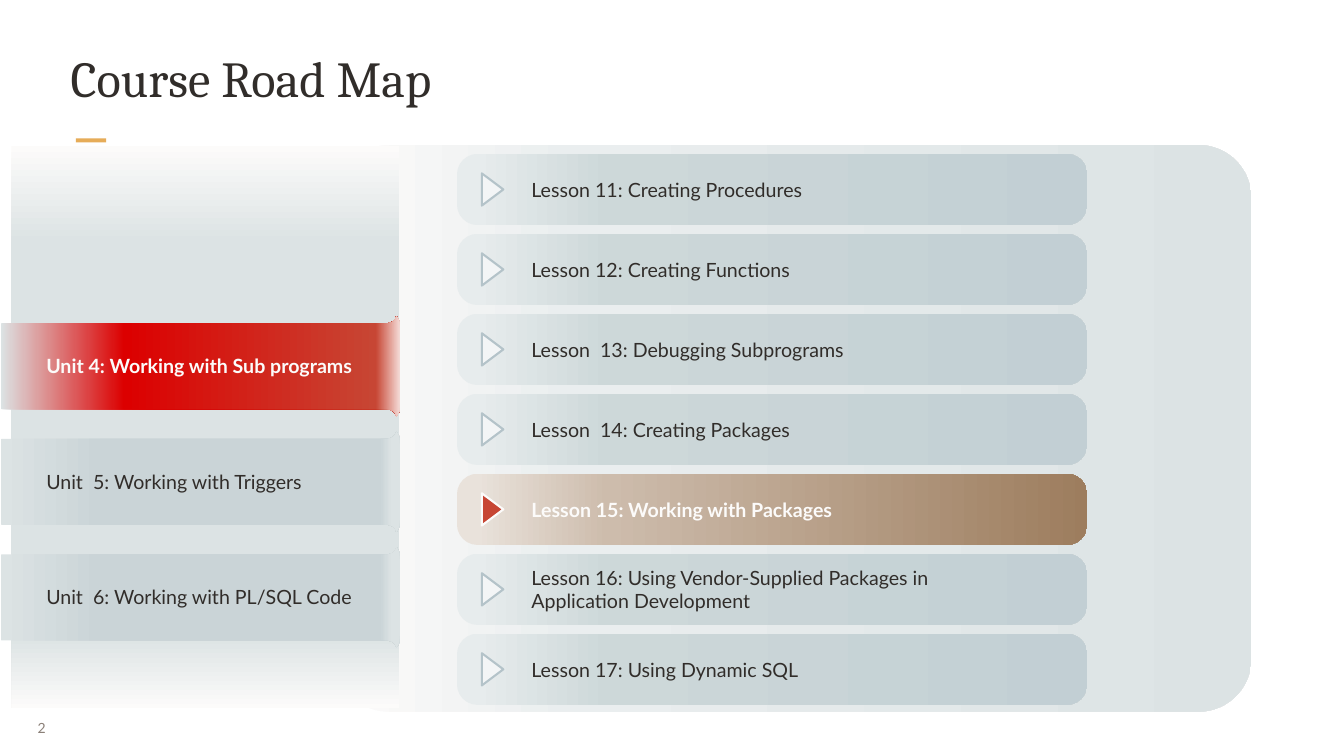
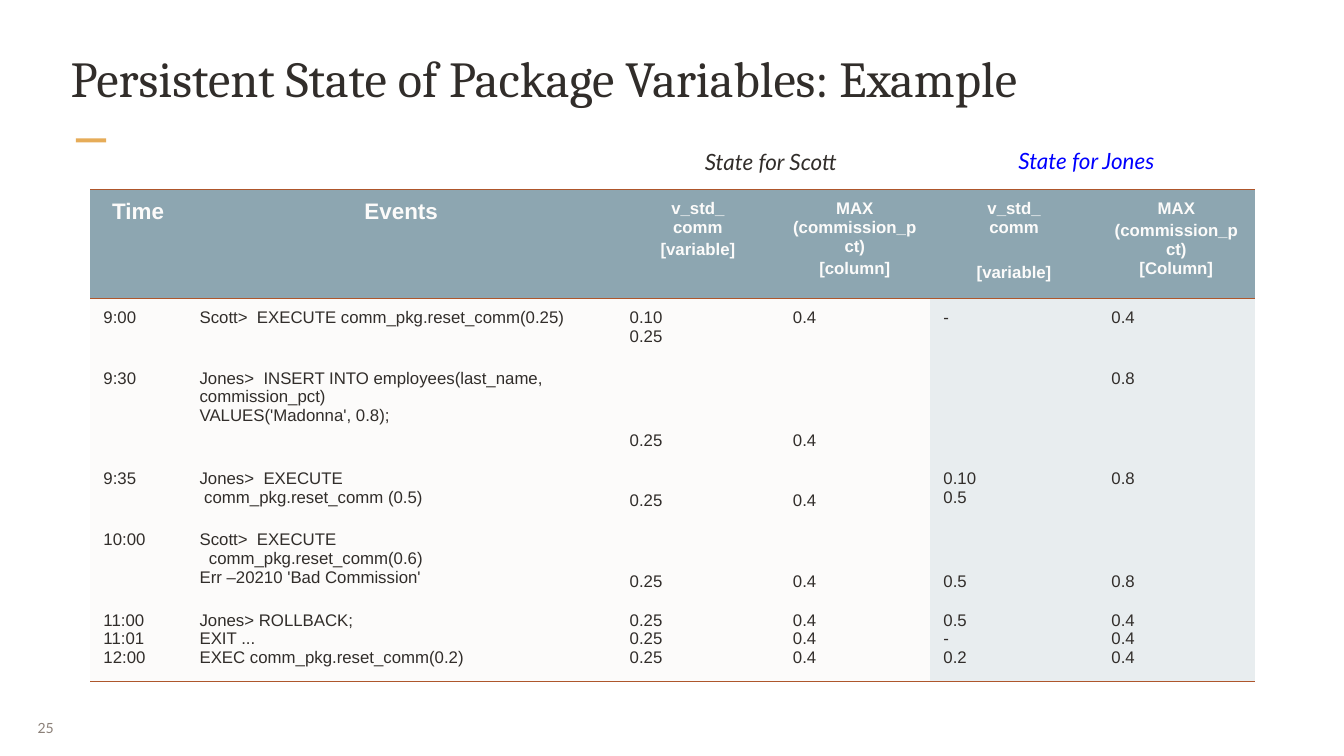
import dataclasses

import lxml.etree
import pptx
import pptx.dml.color
import pptx.enum.shapes
import pptx.enum.text
import pptx.oxml.ns
import pptx.util

RGB = pptx.dml.color.RGBColor
SHAPE = pptx.enum.shapes.MSO_SHAPE
ALIGN = pptx.enum.text.PP_ALIGN
ANCHOR = pptx.enum.text.MSO_ANCHOR
qn = pptx.oxml.ns.qn

SLIDE_WIDTH = pptx.util.Inches(20)
SLIDE_HEIGHT = pptx.util.Inches(11.25)
GRID_COLUMNS = 20
GRID_UNIT = SLIDE_WIDTH / GRID_COLUMNS

INK = RGB(0x31, 0x2D, 0x2A)
PAPER = RGB(0xFC, 0xFB, 0xFA)
TAUPE = RGB(0x8B, 0x80, 0x78)
AMBER = RGB(0xE6, 0xAC, 0x58)
BLUE = RGB(0x00, 0x00, 0xFF)
RED = RGB(0xC7, 0x46, 0x34)
BRIGHT_RED = RGB(0xDC, 0x00, 0x00)
DARK_RED = RGB(0x95, 0x34, 0x27)
PALE_RED = RGB(0xF4, 0xDA, 0xD6)
MIST = RGB(0xDC, 0xE3, 0xE4)
SLATE = RGB(0x8D, 0xA6, 0xB1)
STEEL = RGB(0xB4, 0xC3, 0xC9)
FROST = RGB(0xF3, 0xF5, 0xF6)
PALE_SLATE = RGB(0xE8, 0xED, 0xEF)
RUST = RGB(0xAE, 0x56, 0x2C)
GREY = RGB(0xCA, 0xD4, 0xD7)

PANEL_STOPS = [(0, PAPER), (26, RGB(0xEA, 0xEE, 0xEF)), (100, MIST)]
SIDEBAR_STOPS = [(0, PAPER), (17, MIST), (87, MIST), (100, PAPER)]
TAB_STOPS = [(77, RGB(0xDE, 0xE4, 0xE5)), (99, RGB(0x96, 0xA2, 0xA7))]
ACTIVE_TAB_STOPS = [(73, RED), (92, DARK_RED)]
RIBBON_STOPS = [(0, MIST), (25, GREY), (95, GREY), (98, MIST)]
ACTIVE_RIBBON_STOPS = [(0, MIST), (31, BRIGHT_RED), (94, RED), (100, PALE_RED)]
LESSON_STOPS = [(3, RGB(0xE7, 0xEC, 0xED)), (24, RGB(0xCD, 0xD8, 0xD9)),
                (100, RGB(0xC2, 0xCF, 0xD4))]
ACTIVE_LESSON_STOPS = [(3, RGB(0xE9, 0xE2, 0xDB)), (24, RGB(0xCD, 0xBC, 0xAC)),
                       (100, RGB(0x9D, 0x7D, 0x5E))]


@dataclasses.dataclass(frozen=True)
class TextStyle:
    size: float
    font: str = "Lato"
    color: RGB = INK
    bold: bool = False
    italic: bool = False
    alignment: ALIGN = ALIGN.LEFT
    space_before: float = 0


TITLE = TextStyle(54, "Cambria")
PAGE_NUMBER = TextStyle(15, color=TAUPE, alignment=ALIGN.JUSTIFY)
ITEM = TextStyle(21)
ACTIVE_ITEM = TextStyle(21, color=PAPER, bold=True)
STATE = TextStyle(24, italic=True, alignment=ALIGN.CENTER)
JONES_STATE = dataclasses.replace(STATE, color=BLUE)
HEADER = TextStyle(18, "Arial", PAPER, True, alignment=ALIGN.CENTER, space_before=3.6)
WIDE_HEADER = dataclasses.replace(HEADER, size=24)
BODY = TextStyle(18, "Arial")

UNITS = ["Unit 4: Working with Sub programs", "Unit  5: Working with Triggers",
         "Unit  6: Working with PL/SQL Code"]
ACTIVE_UNIT = 0
UNIT_MIDDLE, UNIT_PITCH = 5.45, 1.72
RIBBON_EDGE = [(0.01, 0.56), (0.02, 0.64), (5.77, 0.64), (5.84, 0.66),
               (5.88, 0.7), (5.9, 0.75), (5.94, 0.68), (5.95, 0.56)]

LESSONS = ["Lesson 11: Creating Procedures", "Lesson 12: Creating Functions",
           "Lesson  13: Debugging Subprograms", "Lesson  14: Creating Packages",
           "Lesson 15: Working with Packages",
           "Lesson 16: Using Vendor-Supplied Packages in Application Development",
           "Lesson 17: Using Dynamic SQL"]
ACTIVE_LESSON = 4
LESSON_TOP, LESSON_PITCH, LESSON_HEIGHT = 2.29, 1.19, 1.06
CHARACTERS_PER_LINE = 50

COLUMN_WIDTHS = [1.43, 6.4, 2.43, 2.24, 2.5, 2.33]
ROW_HEIGHTS = [1.62, 0.9, 1.5, 0.9, 1.2, 1.2]
FIRST_JONES_COLUMN = 4
STATE_ROWS = [
    [["Time"], ["Events"], ["v_std_\ncomm", "[variable]"],
     ["MAX\n(commission_pct)", "[column]"], ["v_std_\ncomm", "[variable]"],
     ["MAX", "(commission_pct)\n[Column]"]],
    [["9:00"], ["Scott>  EXECUTE comm_pkg.reset_comm(0.25)"],
     ["0.10\n0.25"], ["0.4"], ["-"], ["0.4"]],
    [["9:30"], ["Jones>  INSERT INTO employees(last_name, commission_pct)",
                "VALUES('Madonna', 0.8);"], ["0.25"], ["0.4"], [], ["0.8"]],
    [["9:35"], ["Jones>  EXECUTE", " comm_pkg.reset_comm (0.5)"],
     ["0.25"], ["0.4"], ["0.10", "0.5"], ["0.8"]],
    [["10:00"], ["Scott>  EXECUTE", "  comm_pkg.reset_comm(0.6)",
                 "Err –20210 'Bad Commission'"], ["0.25"], ["0.4"], ["0.5"], ["0.8"]],
    [["11:00", "11:01", "12:00"],
     ["Jones> ROLLBACK;", "EXIT ...", "EXEC comm_pkg.reset_comm(0.2)"],
     ["0.25"] * 3, ["0.4"] * 3, ["0.5", "-", "0.2"], ["0.4"] * 3],
]
BOTTOM_COLUMNS = {2: (2, 3), 3: (2, 3), 4: (2, 3, 4, 5)}
PLAIN_TABLE_STYLE = "{2D5ABB26-0587-4C30-8999-92F81FD0307C}"


def grid(*lengths):
    return [pptx.util.Emu(round(length * GRID_UNIT)) for length in lengths]


def write_text(frame, texts, style):
    for index, text in enumerate(texts):
        paragraph = frame.add_paragraph() if index else frame.paragraphs[0]
        paragraph.alignment = style.alignment
        if index and style.space_before:
            paragraph.space_before = pptx.util.Pt(style.space_before)
        for line_index, line in enumerate(text.split("\n")):
            if line_index:
                paragraph.add_line_break()
            run = paragraph.add_run()
            run.text = line
            run.font.name = style.font
            run.font.size = pptx.util.Pt(style.size)
            run.font.color.rgb = style.color
            run.font.bold = style.bold
            run.font.italic = style.italic


def set_margins(target, horizontal, vertical):
    target.margin_left, target.margin_right = grid(horizontal, horizontal)
    target.margin_top, target.margin_bottom = grid(vertical, vertical)


def add_text(slide, box, text, style, anchor=ANCHOR.TOP, margins=(0.1, 0.05), wrap=True):
    frame = slide.shapes.add_textbox(*grid(*box)).text_frame
    frame.word_wrap = wrap
    frame.vertical_anchor = anchor
    set_margins(frame, *margins)
    write_text(frame, [text], style)


def paint(shape, fill, angle=0):
    shape.shadow.inherit = False
    shape.line.fill.background()
    if isinstance(fill, RGB):
        shape.fill.solid()
        shape.fill.fore_color.rgb = fill
        return
    shape.fill.gradient()
    shape.fill.gradient_angle = (360 - angle) % 360
    stops = next(shape._element.iter(qn("a:gsLst")))
    for stop in list(stops):
        stops.remove(stop)
    for position, color in fill:
        stop = lxml.etree.SubElement(stops, qn("a:gs"), pos=str(position * 1000))
        lxml.etree.SubElement(stop, qn("a:srgbClr"), val=str(color))


def add_block(slide, kind, box, fill, angle=0, rounding=None):
    shape = slide.shapes.add_shape(kind, *grid(*box))
    if rounding is not None:
        shape.adjustments[0] = rounding
    paint(shape, fill, angle)
    return shape


def add_slide(presentation, title, number):
    slide = presentation.slides.add_slide(presentation.slide_layouts[6])
    add_block(slide, SHAPE.RECTANGLE, (1.13, 2.06, 0.45, 0.06), AMBER)
    add_text(slide, (0.43, 10.54, 0.65, 0.58), str(number), PAGE_NUMBER,
             ANCHOR.MIDDLE, (0.13, 0.07), wrap=False)
    add_text(slide, (1.02, 0.67, 17.96, 1.28), title, TITLE, margins=(0.03, 0.03))
    return slide


def add_unit_tab(slide, position):
    top = UNIT_MIDDLE + position * UNIT_PITCH - 0.81
    stops = ACTIVE_TAB_STOPS if position == ACTIVE_UNIT else TAB_STOPS
    add_block(slide, SHAPE.ROUNDED_RECTANGLE, (4.36, top, 1.58, 1.61), stops, rounding=0.126)


def add_unit_ribbon(slide, position, text):
    middle = UNIT_MIDDLE + position * UNIT_PITCH
    active = position == ACTIVE_UNIT
    outline = [grid(x, middle + y) for x, y in RIBBON_EDGE]
    outline += [grid(x, middle - y) for x, y in reversed(RIBBON_EDGE)]
    builder = slide.shapes.build_freeform(*outline[0])
    builder.add_line_segments(outline[1:], close=True)
    paint(builder.convert_to_shape(), ACTIVE_RIBBON_STOPS if active else RIBBON_STOPS)
    add_text(slide, (0.59, middle - 0.23, 5.09, 0.45), text,
             ACTIVE_ITEM if active else ITEM, ANCHOR.MIDDLE)


def add_lesson(slide, position, text):
    top = LESSON_TOP + position * LESSON_PITCH
    middle = top + LESSON_HEIGHT / 2
    active = position == ACTIVE_LESSON
    add_block(slide, SHAPE.ROUNDED_RECTANGLE, (6.8, top, 9.38, LESSON_HEIGHT),
              ACTIVE_LESSON_STOPS if active else LESSON_STOPS, rounding=0.289)
    height = 0.09 + 0.36 * (1 + len(text) // CHARACTERS_PER_LINE)
    add_text(slide, (7.81, middle - height / 2, 7.37, height), text,
             ACTIVE_ITEM if active else ITEM, ANCHOR.MIDDLE)
    marker = add_block(slide, SHAPE.ISOSCELES_TRIANGLE, (7.09, middle - 0.16, 0.48, 0.32),
                       RED if active else FROST)
    marker.rotation = 90
    marker.line.color.rgb = PAPER if active else STEEL
    marker.line.width = pptx.util.Pt(2.25)


def set_border(cell, side):
    border = lxml.etree.Element(qn(f"a:{side}"), w=str(pptx.util.Pt(1)))
    fill = lxml.etree.SubElement(border, qn("a:solidFill"))
    lxml.etree.SubElement(fill, qn("a:srgbClr"), val=str(RUST))
    properties = cell._tc.get_or_add_tcPr()
    properties.insert(len(properties.findall(qn("a:lnT"))), border)


def fill_cell(cell, row, column, texts):
    set_margins(cell, 0.2, 0.15)
    if column in BOTTOM_COLUMNS.get(row, ()):
        cell.vertical_anchor = ANCHOR.BOTTOM
    cell.fill.solid()
    if row == 0:
        cell.fill.fore_color.rgb = SLATE
        write_text(cell.text_frame, texts, WIDE_HEADER if column < 2 else HEADER)
        set_border(cell, "lnT")
    else:
        cell.fill.fore_color.rgb = PALE_SLATE if column >= FIRST_JONES_COLUMN else PAPER
        write_text(cell.text_frame, texts, BODY)
    if row in (0, len(STATE_ROWS) - 1):
        set_border(cell, "lnB")


def add_state_table(slide):
    box = grid(1.34, 2.82, sum(COLUMN_WIDTHS), sum(ROW_HEIGHTS))
    table = slide.shapes.add_table(len(ROW_HEIGHTS), len(COLUMN_WIDTHS), *box).table
    table.horz_banding = False
    next(table._tbl.iter(qn("a:tableStyleId"))).text = PLAIN_TABLE_STYLE
    for column, width in zip(table.columns, grid(*COLUMN_WIDTHS)):
        column.width = width
    for row, height in zip(table.rows, grid(*ROW_HEIGHTS)):
        row.height = height
    for row_index, row in enumerate(STATE_ROWS):
        for column_index, texts in enumerate(row):
            fill_cell(table.cell(row_index, column_index), row_index, column_index, texts)
    jones_variable = table.cell(0, FIRST_JONES_COLUMN).text_frame.paragraphs[1]
    jones_variable.space_before = pptx.util.Pt(28)


def add_road_map(presentation):
    slide = add_slide(presentation, "Course Road Map", 2)
    add_block(slide, SHAPE.ROUNDED_RECTANGLE, (5, 2.16, 13.62, 8.43), PANEL_STOPS,
              rounding=0.093)
    for position in range(-1, len(UNITS)):
        add_unit_tab(slide, position)
    add_block(slide, SHAPE.RECTANGLE, (0.17, 2.18, 5.77, 8.36), SIDEBAR_STOPS, angle=90)
    for position, unit in enumerate(UNITS):
        add_unit_ribbon(slide, position, unit)
    for position, lesson in enumerate(LESSONS):
        add_lesson(slide, position, lesson)


def add_persistent_state(presentation):
    slide = add_slide(presentation, "Persistent State of Package Variables: Example", 25)
    add_state_table(slide)
    add_text(slide, (10.12, 2.16, 2.7, 0.5), "State for Scott", STATE)
    add_text(slide, (14.74, 2.14, 2.85, 0.5), "State for Jones", JONES_STATE)


def main():
    presentation = pptx.Presentation()
    presentation.slide_width = SLIDE_WIDTH
    presentation.slide_height = SLIDE_HEIGHT
    add_road_map(presentation)
    add_persistent_state(presentation)
    presentation.save("out.pptx")


if __name__ == "__main__":
    main()
